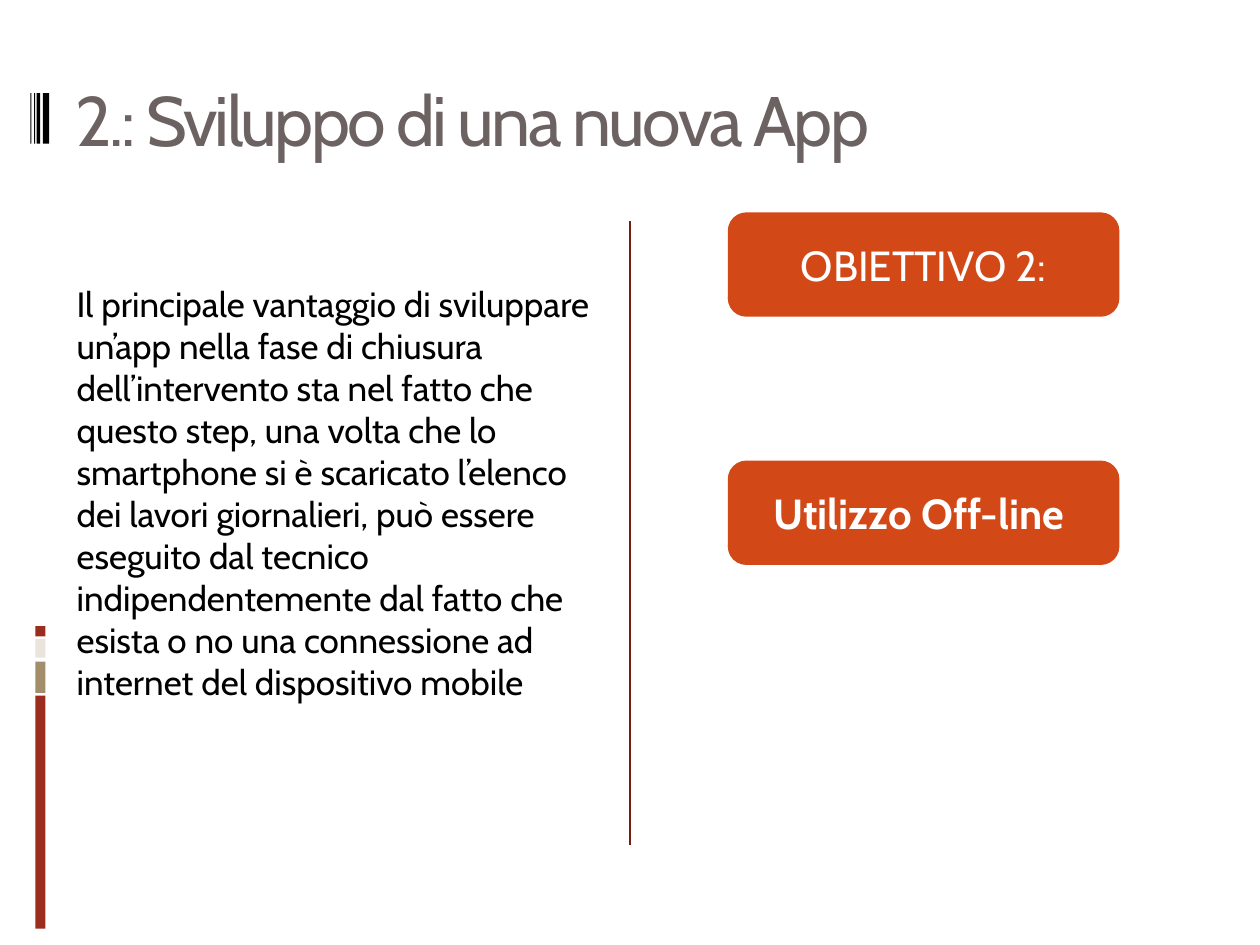
from pptx import Presentation
from pptx.dml.color import RGBColor
from pptx.enum.shapes import MSO_CONNECTOR, MSO_SHAPE
from pptx.enum.text import MSO_ANCHOR, PP_ALIGN
from pptx.oxml.ns import qn
from pptx.util import Inches, Pt
from lxml import etree

RECTANGLE = MSO_SHAPE.RECTANGLE
ROUNDED = MSO_SHAPE.ROUNDED_RECTANGLE
STRAIGHT = MSO_CONNECTOR.STRAIGHT
MIDDLE, TOP = MSO_ANCHOR.MIDDLE, MSO_ANCHOR.TOP
LEFT, CENTER = PP_ALIGN.LEFT, PP_ALIGN.CENTER
BRICK, SAND, IVORY, ORANGE = "9B2D1F", "A28E6A", "E9E5DC", "D34817"
TITLE_GREY, DIVIDER_RED, BLACK, WHITE = "6C6262", "751D12", "000000", "FFFFFF"


def color(value):
    return RGBColor.from_string(value)


class AppSlide:
    """Draws the elements of the slide in one shared style."""

    font = "Cabin"

    def __init__(self, presentation):
        self.slide = presentation.slides.add_slide(presentation.slide_layouts[5])

    def add_text(self, frame, text, size, ink, align=LEFT, anchor=MIDDLE, bold=False):
        frame.word_wrap = True
        frame.vertical_anchor = anchor
        paragraph = frame.paragraphs[0]
        paragraph.alignment = align
        run = paragraph.add_run()
        run.text = text
        run.font.name = self.font
        run.font.size = Pt(size)
        run.font.bold = bold
        run.font.color.rgb = color(ink)
        return run

    def title(self, text, left, top, width, height):
        heading = self.slide.shapes.title
        heading.left, heading.top = Inches(left), Inches(top)
        heading.width, heading.height = Inches(width), Inches(height)
        run = self.add_text(heading.text_frame, text, 40, TITLE_GREY)
        run._r.get_or_add_rPr().set("spc", "-150")

    def block(self, kind, left, top, width, height, fill):
        shape = self.slide.shapes.add_shape(
            kind, Inches(left), Inches(top), Inches(width), Inches(height))
        shape.shadow.inherit = False
        shape.fill.solid()
        shape.fill.fore_color.rgb = color(fill)
        shape.line.fill.background()
        return shape

    def button(self, text, left, top, bold=False):
        shape = self.block(ROUNDED, left, top, 3.08, 0.8, ORANGE)
        shape.line.color.rgb = color(ORANGE)
        shape.line.width = Pt(2)
        self.add_text(shape.text_frame, text, 24, WHITE, CENTER, bold=bold)

    def divider(self, x, top, bottom):
        line = self.slide.shapes.add_connector(
            STRAIGHT, Inches(x), Inches(top), Inches(x), Inches(bottom))
        line.line.color.rgb = color(DIVIDER_RED)
        line.line.width = Pt(0.75)
        etree.SubElement(line._element.spPr, qn("a:effectLst"))

    def body(self, text, left, top, width, height, inset):
        box = self.slide.shapes.add_textbox(
            Inches(left), Inches(top), Inches(width), Inches(height))
        box.text_frame.margin_top = Inches(inset)
        self.add_text(box.text_frame, text, 20, BLACK, anchor=TOP)


def main():
    presentation = Presentation()
    presentation.slide_width, presentation.slide_height = Inches(10), Inches(7.5)
    page = AppSlide(presentation)

    for top, height, fill in [(5.52, 1.85, BRICK), (5.25, 0.25, SAND),
                              (5.07, 0.15, IVORY), (4.97, 0.08, BRICK)]:
        page.block(RECTANGLE, 0.28, top, 0.08, height, fill)
    for left, width in [(0.34, 0.05), (0.29, 0.03), (0.27, 0.01), (0.24, 0.01)]:
        page.block(RECTANGLE, left, 0.74, width, 0.4, BLACK)

    page.divider(5, 1.75, 6.71)
    page.title("2.: Sviluppo di una nuova App", 0.5, 0.23, 9, 1.42)
    page.body(
        "Il principale vantaggio di sviluppare un’app nella fase di chiusura "
        "dell’intervento sta nel fatto che questo step, una volta che lo smartphone "
        "si è scaricato l’elenco dei lavori giornalieri, può essere eseguito dal "
        "tecnico indipendentemente dal fatto che esista o no una connessione ad "
        "internet del dispositivo mobile",
        0.51, 1.75, 4.42, 4.95, inset=0.49)
    page.button("OBIETTIVO 2:", 5.79, 1.7)
    page.button("Utilizzo Off-line ", 5.79, 3.67, bold=True)

    presentation.save("out.pptx")


if __name__ == "__main__":
    main()
